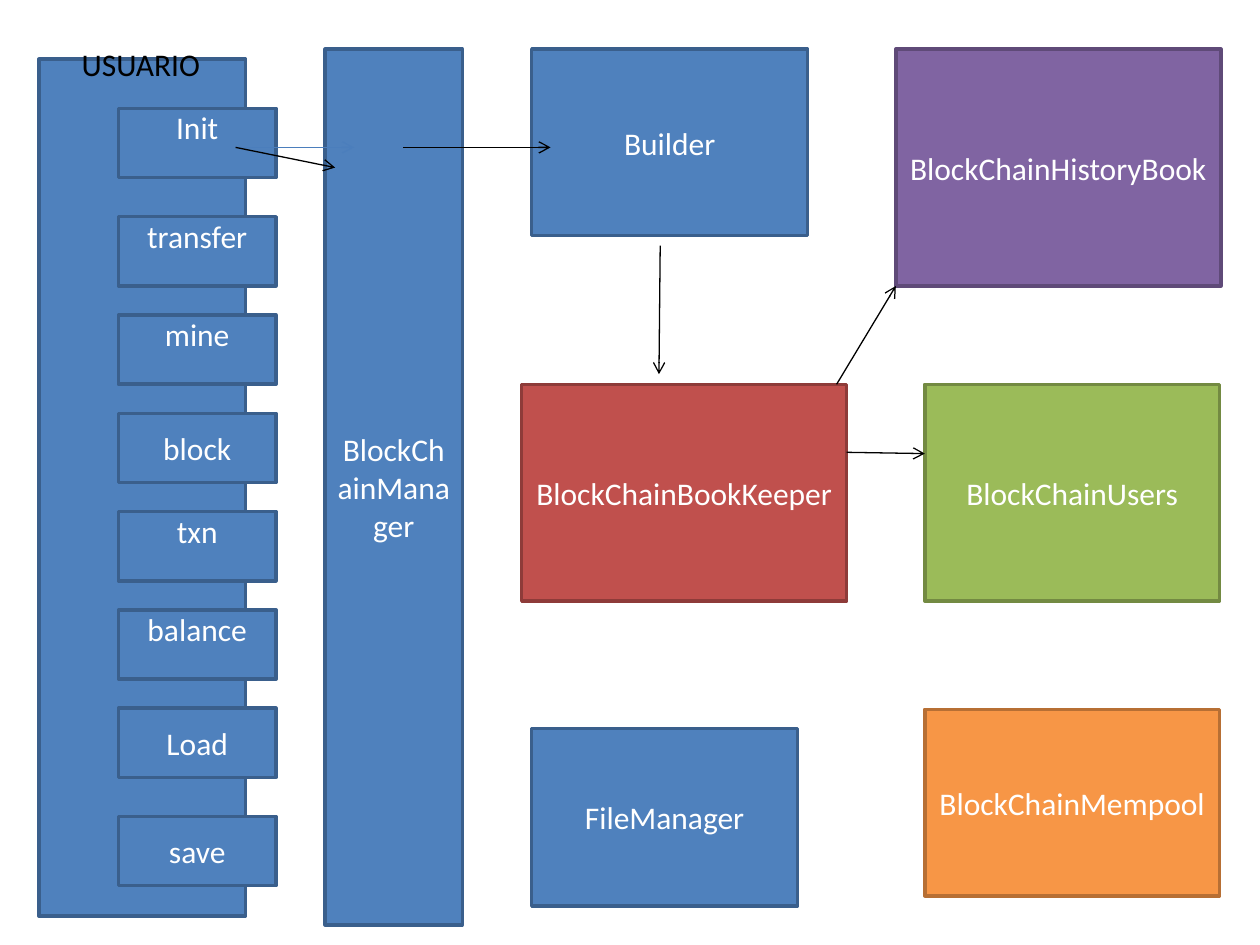
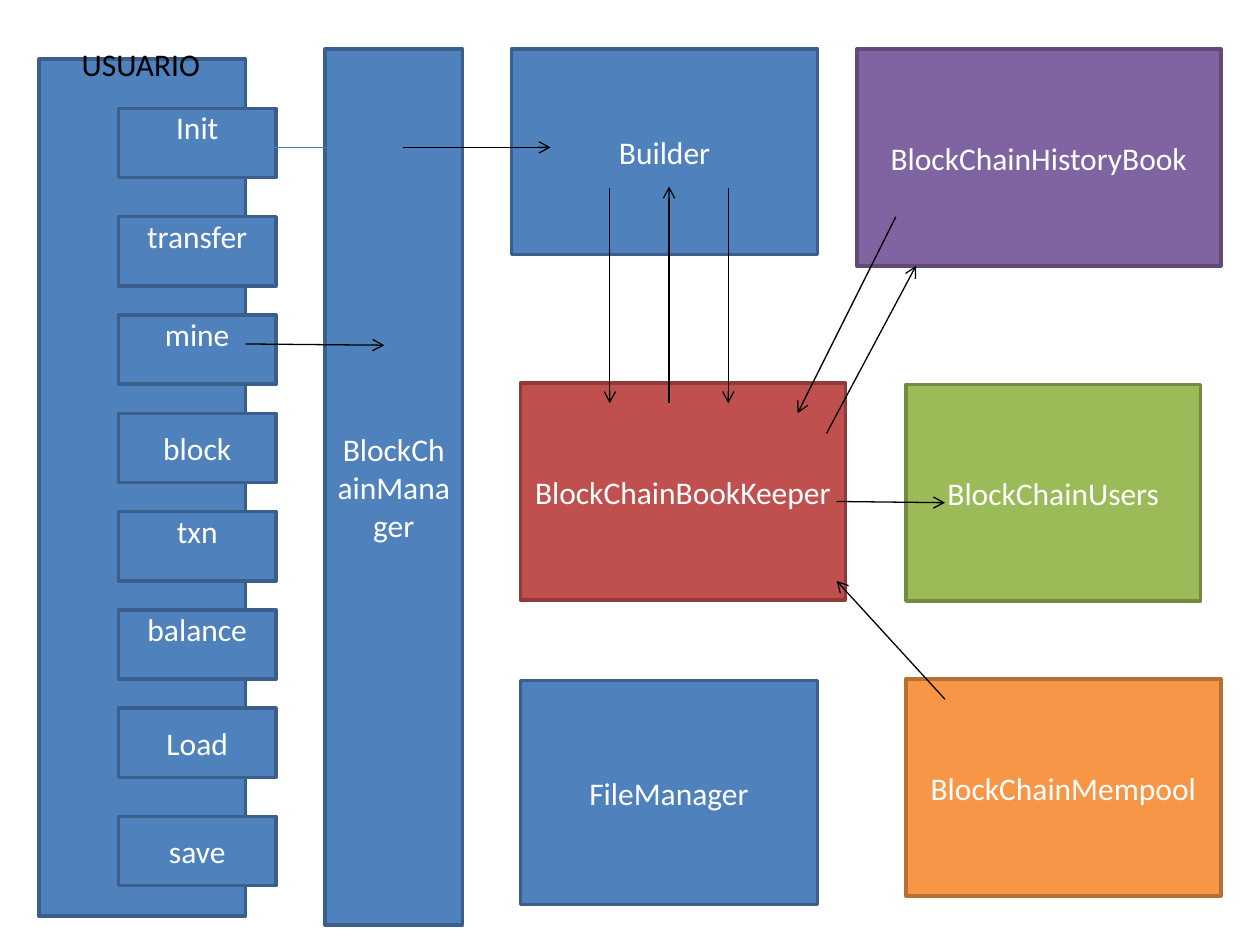
from lxml import etree
from pptx import Presentation
from pptx import util as u
from pptx.dml import color
from pptx.enum import shapes, text
from pptx.oxml import ns

BLUE = ("4F81BD", "3A5F8C")
PURPLE = ("8064A2", "5F4A78")
ORANGE = ("F79646", "B76F34")
RED = ("C0504D", "8E3B39")
GREEN = ("9BBB59", "738A42")
WHITE, BLACK, PALE_BLUE = "FFFFFF", "000000", "4B7EBC"

LABEL_FONT = {"name": "Calibri", "size": u.Pt(18)}
CENTERED_FRAME = {"word_wrap": True, "vertical_anchor": text.MSO_ANCHOR.MIDDLE}
RAISED_FRAME = {
    "word_wrap": True,
    "vertical_anchor": text.MSO_ANCHOR.TOP,
    "margin_top": u.Inches(0),
}
CAPTION_FRAME = {"word_wrap": False, "auto_size": text.MSO_AUTO_SIZE.SHAPE_TO_FIT_TEXT}

COMMANDS = ["Init", "transfer", "mine", "block", "txn", "balance", "Load", "save"]
RAISED_COMMANDS = {"Init", "transfer", "mine", "txn", "balance"}
COMMAND_TOPS = [0.86, *(1.72 + 0.78 * row for row in range(6)), 6.48]

INIT_CALL = (1.87, 1.17, 2.81, 1.17)
BUILD_CALL = (3.2, 1.17, 4.37, 1.17)

FIRST_MODULES = [
    ("Builder", BLUE, (4.22, 0.39, 2.19, 1.48)),
    ("FileManager", BLUE, (4.22, 5.78, 2.11, 1.41)),
    ("BlockChainHistoryBook", PURPLE, (7.11, 0.39, 2.58, 1.88)),
    ("BlockChainMempool", ORANGE, (7.34, 5.63, 2.34, 1.48)),
    ("BlockChainBookKeeper", RED, (4.14, 3.05, 2.58, 1.72)),
    ("BlockChainUsers", GREEN, (7.34, 3.05, 2.34, 1.72)),
]
FIRST_CALLS = [
    (1.87, 1.17, 2.66, 1.33),
    (5.24, 1.95, 5.23, 2.97),
    (6.64, 3.05, 7.11, 2.27),
    (6.72, 3.59, 7.34, 3.6),
]

SECOND_MODULES = [
    ("BlockChainHistoryBook", PURPLE, (6.8, 0.39, 2.89, 1.72)),
    ("Builder", BLUE, (4.06, 0.39, 2.43, 1.63)),
    ("FileManager", BLUE, (4.13, 5.4, 2.36, 1.78)),
    ("BlockChainMempool", ORANGE, (7.19, 5.39, 2.5, 1.72)),
    ("BlockChainBookKeeper", RED, (4.13, 3.04, 2.58, 1.72)),
    ("BlockChainUsers", GREEN, (7.19, 3.05, 2.34, 1.72)),
]
SECOND_CALLS = [
    (1.95, 2.73, 3.05, 2.74),
    (4.84, 1.49, 4.84, 3.2),
    (5.31, 3.2, 5.31, 1.48),
    (5.78, 1.49, 5.78, 3.2),
    (7.11, 1.72, 6.33, 3.28),
    (6.56, 3.44, 7.27, 2.11),
    (7.5, 5.55, 6.64, 4.61),
    (6.64, 3.98, 7.5, 3.99),
]


def rgb(value):
    return color.RGBColor.from_string(value)


def inches(lengths):
    return [u.Inches(length) for length in lengths]


def apply_format(target, values):
    for name, value in values.items():
        setattr(target, name, value)


def write_label(shape, label, font_color, frame_format, alignment):
    frame = shape.text_frame
    apply_format(frame, frame_format)
    paragraph = frame.paragraphs[0]
    paragraph.alignment = alignment
    run = paragraph.add_run()
    run.text = label
    apply_format(run.font, LABEL_FONT)
    run.font.color.rgb = rgb(font_color)


def add_box(slide, place, colors, label=None, frame_format=CENTERED_FRAME):
    shape = slide.shapes.add_shape(shapes.MSO_SHAPE.RECTANGLE, *inches(place))
    fill_color, line_color = colors
    shape.shadow.inherit = False
    shape.fill.solid()
    shape.fill.fore_color.rgb = rgb(fill_color)
    shape.line.color.rgb = rgb(line_color)
    shape.line.width = u.Pt(2)
    if label:
        write_label(shape, label, WHITE, frame_format, text.PP_ALIGN.CENTER)


def add_caption(slide, place, label):
    shape = slide.shapes.add_textbox(*inches(place))
    write_label(shape, label, BLACK, CAPTION_FRAME, text.PP_ALIGN.LEFT)


def add_arrow(slide, ends, line_color=BLACK):
    connector = slide.shapes.add_connector(
        shapes.MSO_CONNECTOR.STRAIGHT, *inches(ends)
    )
    connector.line.color.rgb = rgb(line_color)
    connector.line.width = u.Pt(0.75)
    outline = connector.line._get_or_add_ln()
    etree.SubElement(outline, ns.qn("a:tailEnd"), type="arrow")
    etree.SubElement(connector._element.spPr, ns.qn("a:effectLst"))


def add_user_panel(slide):
    add_box(slide, (0.31, 0.47, 1.64, 6.8), BLUE)
    for command, top in zip(COMMANDS, COMMAND_TOPS):
        frame_format = RAISED_FRAME if command in RAISED_COMMANDS else CENTERED_FRAME
        add_box(slide, (0.94, top, 1.25, 0.55), BLUE, command, frame_format)
    add_caption(slide, (0.55, 0.31, 1.15, 0.4), "USUARIO")


def add_diagram(presentation, modules, calls):
    slide = presentation.slides.add_slide(presentation.slide_layouts[6])
    add_user_panel(slide)
    add_box(slide, (2.58, 0.39, 1.09, 6.95), BLUE, "BlockChainManager")
    for label, colors, place in modules:
        add_box(slide, place, colors, label)
    add_arrow(slide, INIT_CALL, PALE_BLUE)
    for ends in [BUILD_CALL, *calls]:
        add_arrow(slide, ends)


def main():
    presentation = Presentation()
    presentation.slide_width = u.Inches(10)
    presentation.slide_height = u.Inches(7.5)
    add_diagram(presentation, FIRST_MODULES, FIRST_CALLS)
    add_diagram(presentation, SECOND_MODULES, SECOND_CALLS)
    presentation.save("out.pptx")


if __name__ == "__main__":
    main()
